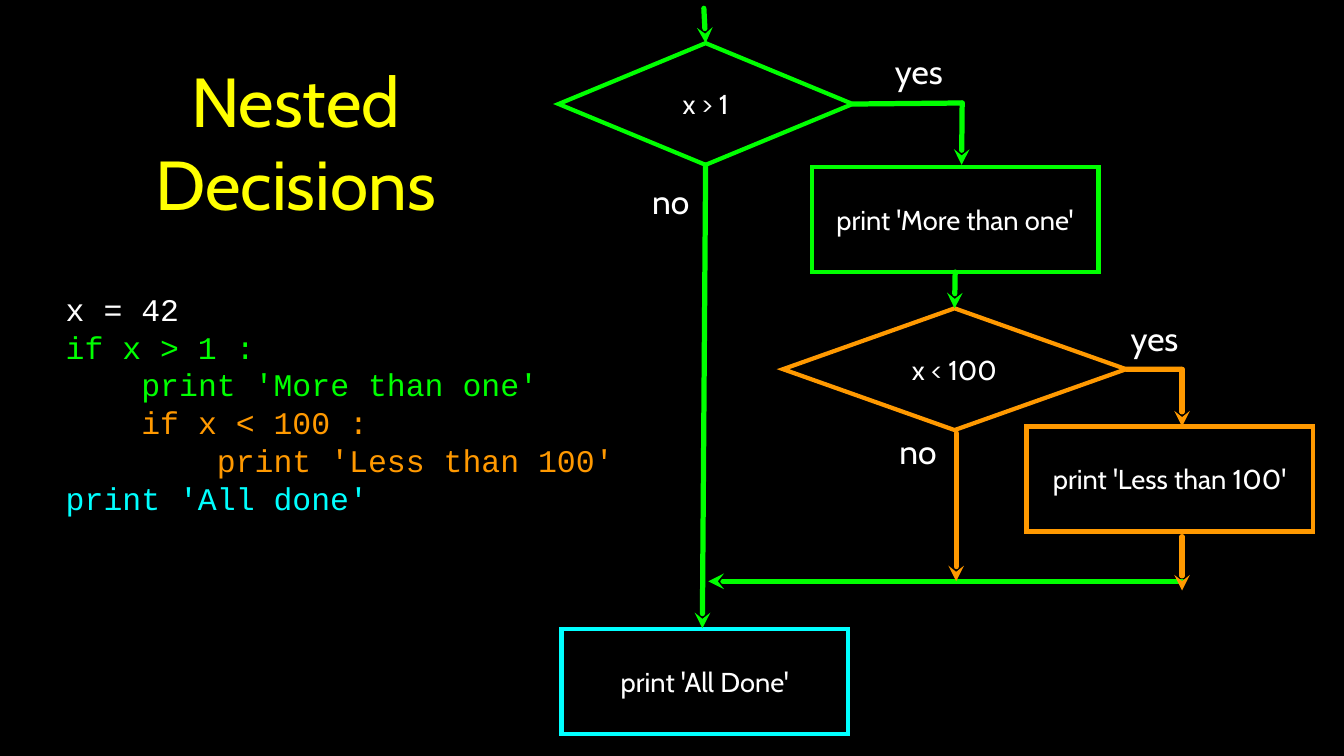
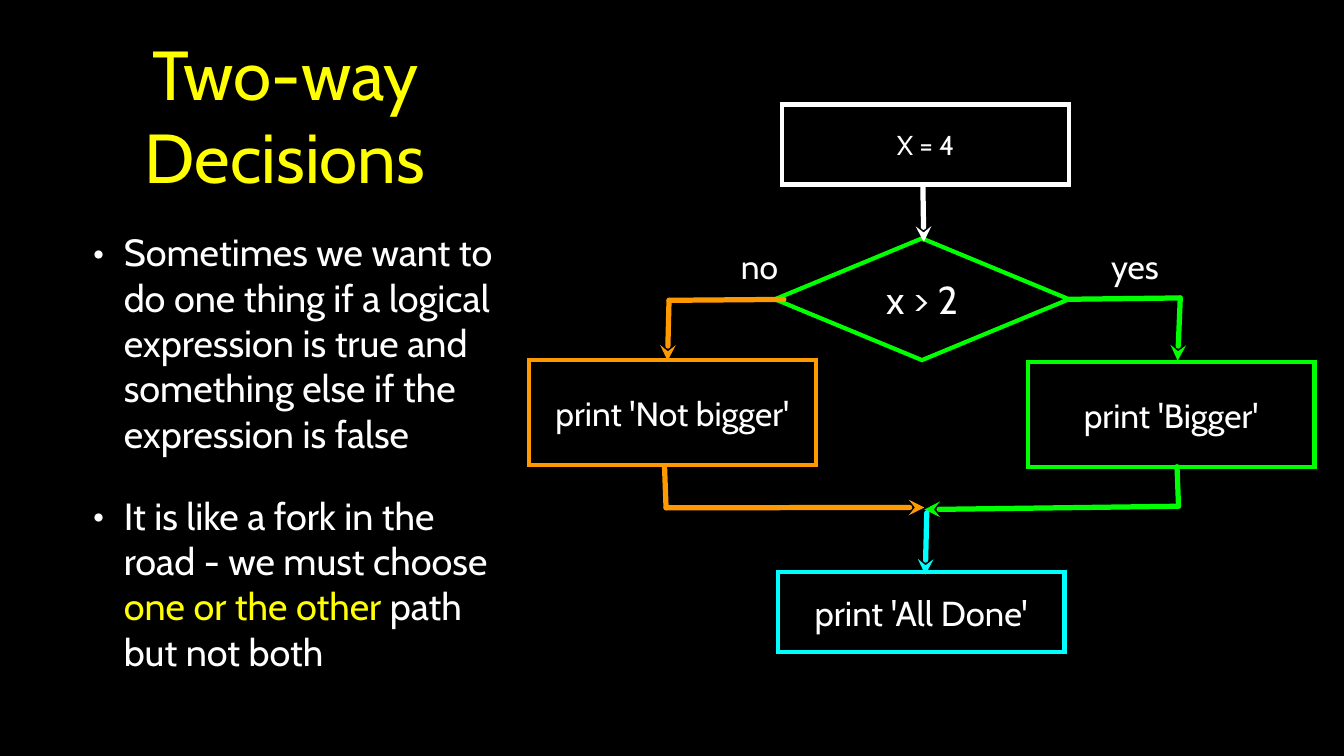
import pptx
import pptx.dml.color
import pptx.enum.shapes
import pptx.enum.text
import pptx.oxml.ns
import pptx.util
from lxml import etree

Cm, Pt = pptx.util.Cm, pptx.util.Pt
SHAPE = pptx.enum.shapes.MSO_SHAPE
STRAIGHT = pptx.enum.shapes.MSO_CONNECTOR.STRAIGHT
ALIGN = pptx.enum.text.PP_ALIGN
MIDDLE = pptx.enum.text.MSO_ANCHOR.MIDDLE
NO_FIT = pptx.enum.text.MSO_AUTO_SIZE.NONE
qn = pptx.oxml.ns.qn

BLACK, WHITE, YELLOW = "000000", "FFFFFF", "FFFF00"
GREEN, ORANGE, CYAN = "00FF00", "FF9900", "00FFFF"
SANS, MONO = "Cabin", "Courier New"
TOP, LEFT, BOTTOM, RIGHT = range(4)
DIAMOND = (9.88, 4.09)
WIDE_DIAMOND = (11.53, 4.09)
BOX = (9.63, 3.53)
LOW_BOX = (9.63, 2.69)


def rgb(color):
    return pptx.dml.color.RGBColor.from_string(color)


def set_font(font, size, color, name=SANS):
    font.name, font.size = name, Pt(size)
    font.color.rgb = rgb(color)


def set_frame(frame, inset=0, wrap=True):
    frame.auto_size = NO_FIT
    frame.word_wrap = wrap
    frame.vertical_anchor = MIDDLE
    frame.margin_left = frame.margin_right = Cm(inset)
    frame.margin_top = frame.margin_bottom = Cm(inset)


def set_centred_text(frame, text, size, color):
    frame.text = text
    paragraph = frame.paragraphs[0]
    paragraph.alignment = ALIGN.CENTER
    set_font(paragraph.font, size, color)


def add_text(slide, box, inset=0, wrap=True):
    frame = slide.shapes.add_textbox(*map(Cm, box)).text_frame
    set_frame(frame, inset, wrap)
    return frame


def set_title(slide, text, box):
    title = slide.shapes.title
    title.left, title.top, title.width, title.height = map(Cm, box)
    set_frame(title.text_frame, 0.1)
    set_centred_text(title.text_frame, text, 66, YELLOW)


def set_indent(paragraph, left, first=0.0):
    properties = paragraph._p.get_or_add_pPr()
    properties.set("marL", str(Cm(left)))
    properties.set("indent", str(Cm(first)))
    return properties


class Flowchart:
    def __init__(self, slide, left, top):
        self.shapes = slide.shapes
        self.slide = slide
        self.left, self.top = left, top

    def step(self, kind, text, corner, size, color, font_size=26):
        x, y = corner
        step = self.shapes.add_shape(
            kind, Cm(self.left + x), Cm(self.top + y), *map(Cm, size))
        step.shadow.inherit = False
        step.fill.background()
        step.line.color.rgb = rgb(color)
        step.line.width = Pt(4)
        outline = step.line._get_or_add_ln()
        etree.SubElement(outline, qn("a:miter")).set("lim", "800000")
        set_frame(step.text_frame)
        set_centred_text(step.text_frame, text, font_size, WHITE)
        return step

    def decision(self, *args):
        return self.step(SHAPE.DIAMOND, *args)

    def action(self, *args):
        return self.step(SHAPE.RECTANGLE, *args)

    def locate(self, end):
        if isinstance(end[0], (int, float)):
            return Cm(self.left + end[0]), Cm(self.top + end[1])
        step, side = end
        across, down = {TOP: (1, 0), LEFT: (0, 1),
                        BOTTOM: (1, 2), RIGHT: (2, 1)}[side]
        return (step.left + step.width * across // 2,
                step.top + step.height * down // 2)

    def link(self, start, end, color, arrow=True):
        link = self.shapes.add_connector(
            STRAIGHT, *self.locate(start), *self.locate(end))
        for place, join in ((start, link.begin_connect),
                            (end, link.end_connect)):
            if not isinstance(place[0], (int, float)):
                join(*place)
        link.line.color.rgb = rgb(color)
        link.line.width = Pt(5)
        stroke = link.line._get_or_add_ln()
        stroke.set("cap", "rnd")
        etree.SubElement(stroke, qn("a:round"))
        if arrow:
            etree.SubElement(stroke, qn("a:tailEnd")).set("type", "stealth")
        etree.SubElement(link._element.spPr, qn("a:effectLst"))

    def bend(self, start, corner, end, color):
        self.link(start, corner, color, arrow=False)
        self.link(corner, end, color)

    def answer(self, text, x, y):
        width = 1.75 if text == "yes" else 1.5
        box = (self.left + x, self.top + y, width, 1.55)
        set_centred_text(add_text(self.slide, box, wrap=False), text, 32, WHITE)


def add_code(slide, box):
    lines = [
        (0, "x = 42", WHITE),
        (0, "if x > 1 :", GREEN),
        (1, "print 'More than one'", GREEN),
        (1, "if x < 100 :", ORANGE),
        (2, "print 'Less than 100'", ORANGE),
        (0, "print 'All done'", CYAN),
    ]
    frame = add_text(slide, box)
    frame.text = "\n".join(text for _, text, _ in lines)
    for paragraph, (level, _, color) in zip(frame.paragraphs, lines):
        set_font(paragraph.font, 30, color, MONO)
        set_indent(paragraph, 2.54 * level)


def add_bullets(slide, box):
    points = [
        [("Sometimes we want to do one thing if a logical expression is true "
          "and something else if the expression is false", WHITE)],
        [("It is like a fork in the road - we must choose ", WHITE),
         ("one or the other", YELLOW),
         (" path but not both", WHITE)],
    ]
    frame = add_text(slide, box, 0.1)
    for index, pieces in enumerate(points):
        paragraph = frame.add_paragraph() if index else frame.paragraphs[0]
        paragraph.space_before = Pt(35 if index else 0)
        properties = set_indent(paragraph, 2.08, -1.04)
        bullet_color = etree.SubElement(properties, qn("a:buClr"))
        etree.SubElement(bullet_color, qn("a:srgbClr")).set("val", WHITE)
        etree.SubElement(properties, qn("a:buFont")).set("typeface", SANS)
        etree.SubElement(properties, qn("a:buChar")).set("char", "•")
        set_font(paragraph.font, 36, WHITE)
        for text, color in pieces:
            run = paragraph.add_run()
            run.text = text
            set_font(run.font, 36, color)


def add_nested_flow(slide, left, top):
    flow = Flowchart(slide, left, top)
    over_one = flow.decision("x > 1", (0, 1.17), DIAMOND, GREEN)
    more = flow.action("print 'More than one'", (8.51, 5.33), BOX, GREEN)
    under_100 = flow.decision("x < 100", (7.54, 10.08), WIDE_DIAMOND, ORANGE)
    less = flow.action("print 'Less than 100'", (15.72, 14.05), BOX, ORANGE)
    done = flow.action("print 'All Done'", (0.1, 20.85), BOX, CYAN)

    merge_y, less_x = 19.25, 20.95
    flow.link((4.88, 0), (over_one, TOP), GREEN)
    flow.bend((over_one, RIGHT), (13.56, 3.18), (13.54, 5.26), GREEN)
    flow.link((over_one, BOTTOM), (4.83, 20.83), GREEN)
    flow.link((more, BOTTOM), (under_100, TOP), GREEN)
    flow.bend((under_100, RIGHT), (less_x, 12.13), (less_x, 14.05), ORANGE)
    flow.link((less_x, merge_y), (5.03, merge_y), GREEN)
    flow.link((13.36, 14.27), (13.36, merge_y), ORANGE)
    flow.link((less_x, 17.75), (less_x, 19.56), ORANGE)

    flow.answer("yes", 11.23, 1.32)
    flow.answer("no", 3.02, 5.69)
    flow.answer("yes", 19.15, 10.29)
    flow.answer("no", 11.33, 14.1)


def add_two_way_flow(slide, left, top):
    flow = Flowchart(slide, left, top)
    flow.action("X = 4", (8.51, 0), LOW_BOX, WHITE)
    over_two = flow.decision("x > 2", (8.26, 4.5), DIAMOND, GREEN, 37)
    flow.action("print 'Bigger'", (16.76, 8.66), BOX, GREEN, 32)
    flow.action("print 'Not bigger'", (0, 8.59), BOX, ORANGE, 32)
    flow.action("print 'All Done'", (8.36, 15.72), LOW_BOX, CYAN, 33)

    flow.link((13.23, 2.72), (13.26, 4.62), WHITE)
    flow.bend((over_two, RIGHT), (21.88, 6.5), (21.79, 8.61), GREEN)
    flow.bend((21.77, 12.17), (21.82, 13.5), (13.28, 13.61), GREEN)
    flow.bend((8.56, 6.55), (4.7, 6.58), (4.65, 8.61), ORANGE)
    flow.bend((4.55, 12.19), (4.6, 13.55), (13.28, 13.54), ORANGE)
    flow.link((13.36, 13.72), (13.31, 15.8), CYAN)

    flow.answer("yes", 19.48, 4.67)
    flow.answer("no", 6.99, 4.67)


def add_nested_slide(prs):
    slide = prs.slides.add_slide(prs.slide_layouts[5])
    set_title(slide, "Nested Decisions", (3.25, 1.55, 13.36, 6.38))
    add_code(slide, (2.21, 8.92, 18.75, 9.25))
    add_nested_flow(slide, 18.77, 0.28)


def add_two_way_slide(prs):
    slide = prs.slides.add_slide(prs.slide_layouts[5])
    set_title(slide, "Two-way Decisions", (0.46, 0.66, 18.24, 6.38))
    add_bullets(slide, (1.98, 7.24, 15.24, 15.85))
    add_two_way_flow(slide, 17.78, 3.51)


def main():
    prs = pptx.Presentation()
    prs.slide_width, prs.slide_height = Cm(45.16), Cm(25.4)
    background = prs.slide_master.background.fill
    background.solid()
    background.fore_color.rgb = rgb(BLACK)
    add_nested_slide(prs)
    add_two_way_slide(prs)
    prs.save("out.pptx")


if __name__ == "__main__":
    main()
